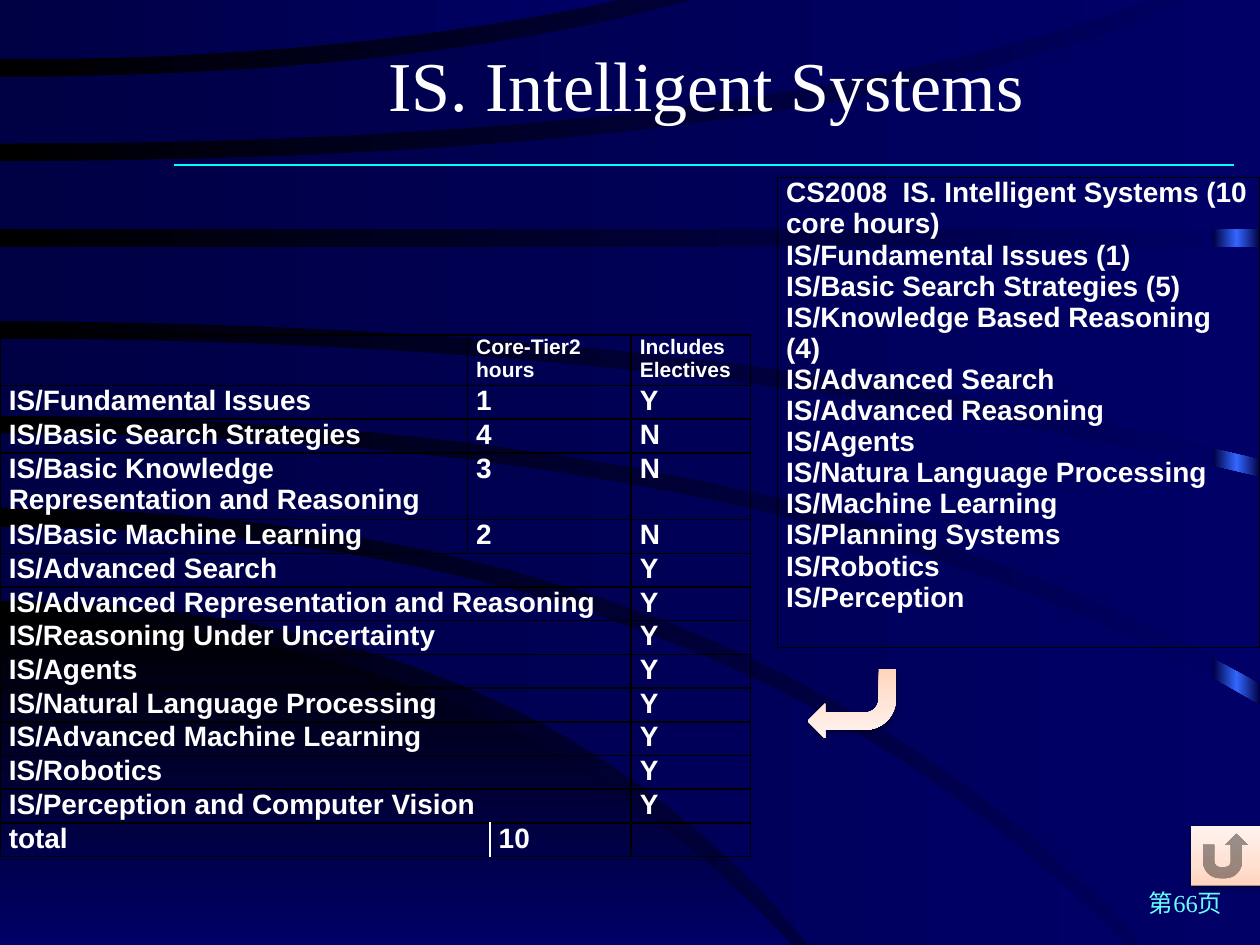
from copy import deepcopy

from lxml import etree
from pptx import Presentation
from pptx.dml.color import RGBColor
from pptx.enum.shapes import MSO_CONNECTOR, MSO_SHAPE
from pptx.enum.text import MSO_ANCHOR, PP_ALIGN
from pptx.oxml import parse_xml
from pptx.oxml.ns import nsdecls, qn
from pptx.util import Inches, Pt

CENTER, RIGHT = PP_ALIGN.CENTER, PP_ALIGN.RIGHT
MIDDLE = MSO_ANCHOR.MIDDLE
RECTANGLE = MSO_SHAPE.RECTANGLE
BENT_ARROW = MSO_SHAPE.BENT_ARROW
RETURN_BUTTON = MSO_SHAPE.ACTION_BUTTON_RETURN
STRAIGHT = MSO_CONNECTOR.STRAIGHT

BLACK = RGBColor(0x00, 0x00, 0x00)
WHITE = RGBColor(0xFF, 0xFF, 0xFF)
NAVY = RGBColor(0x00, 0x00, 0x66)
DARK_NAVY = RGBColor(0x00, 0x00, 0x44)
BLUE = RGBColor(0x33, 0x66, 0xFF)
CYAN = RGBColor(0x00, 0xFF, 0xFF)
PALE_CYAN = RGBColor(0x66, 0xFF, 0xFF)
PEACH = RGBColor(0xFF, 0xD4, 0xBD)
LIGHT_PEACH = RGBColor(0xFF, 0xE0, 0xD1)
PALE_PEACH = RGBColor(0xFF, 0xF3, 0xEE)

BAND_STOPS = [(0, DARK_NAVY), (1, NAVY)]
HILL_STOPS = [(0, BLACK), (1, NAVY)]
STRIP_STOPS = [(0, DARK_NAVY), (0.5, BLUE), (1, DARK_NAVY)]
PEACH_STOPS = [(0, PEACH), (0.35, LIGHT_PEACH), (1, PALE_PEACH)]

# An edge is start y, bend x, end x, end y; a band is upper edge, lower edge, corners between.
HILL = ((4.91, 3.93, 6.28, 7.5), (7.5, 3, 6.28, 7.5), [])
BANDS = [
    ((4.18, 5.73, 8.93, 7.5), (4.77, 4.2, 6.42, 7.5), []),
    ((3.44, 6.4, 10, 5.6), (4.03, 5.87, 9.09, 7.5), [(10, 7.5)]),
    ((2.69, 5.5, 10, 3.79), (3.3, 6.3, 10, 5.42), []),
    ((1.96, 5, 10, 1.96), (2.55, 5.6, 10, 3.64), []),
    ((1.28, 6.64, 9.43, 0), (1.82, 5, 10, 1.82), [(10, 0)]),
    ((0.61, 3.3, 5.5, 0), (1.14, 6.1, 9.13, 0), []),
    ((0, 2.5, 4.9, 0), (0.47, 2.75, 4.9, 0), []),
]
CURVE_STEPS = 16

CORE_UNITS = [("IS/Fundamental Issues", "1", "Y"),
              ("IS/Basic Search Strategies", "4", "N"),
              ("IS/Basic Knowledge Representation and Reasoning", "3", "N"),
              ("IS/Basic Machine Learning", "2", "N")]
ELECTIVE_UNITS = ["IS/Advanced Search", "IS/Advanced Representation and Reasoning",
                  "IS/Reasoning Under Uncertainty", "IS/Agents",
                  "IS/Natural Language Processing", "IS/Advanced Machine Learning",
                  "IS/Robotics", "IS/Perception and Computer Vision"]
UNITS_2008 = ["CS2008  IS. Intelligent Systems (10 core hours)", "IS/Fundamental Issues (1)",
              "IS/Basic Search Strategies (5)", "IS/Knowledge Based Reasoning (4)",
              "IS/Advanced Search", "IS/Advanced Reasoning", "IS/Agents",
              "IS/Natura Language Processing", "IS/Machine Learning", "IS/Planning Systems",
              "IS/Robotics", "IS/Perception"]


def write_text(frame, text, size=16, font="Arial", color=WHITE, bold=False, align=None):
    """Fill a text frame, one paragraph per line of text."""
    frame.word_wrap = True
    for index, line in enumerate(text.split("\n")):
        paragraph = frame.add_paragraph() if index else frame.paragraphs[0]
        paragraph.alignment = align
        if not line:
            paragraph._p.get_or_add_endParaRPr().set("sz", str(size * 100))
            continue
        run = paragraph.add_run()
        run.text = line
        run.font.size, run.font.name, run.font.bold = Pt(size), font, bold
        run.font.color.rgb = color


def paint_gradient(fill, element, stops, angle=0):
    """Angle runs counter-clockwise; element is the XML that holds the fill."""
    fill.gradient()
    fill.gradient_angle = angle
    stop_list = next(element.iter(qn("a:gsLst")))
    while len(stop_list) < len(stops):
        stop_list.append(deepcopy(stop_list[0]))
    for stop, (position, color) in zip(fill.gradient_stops, stops):
        stop.position = position
        stop.color.rgb = color


def finish_shape(shape, stops, angle=0):
    shape.shadow.inherit = False
    shape.line.fill.background()
    paint_gradient(shape.fill, shape._element, stops, angle)


def curve_points(start_y, bend_x, end_x, end_y):
    """Points of a quadratic curve that leaves the left slide edge horizontally."""
    steps = [step / CURVE_STEPS for step in range(CURVE_STEPS + 1)]
    return [(2 * t * (1 - t) * bend_x + t * t * end_x, start_y + t * t * (end_y - start_y))
            for t in steps]


def add_band(slide, band, stops, angle=0):
    upper, lower, corners = band
    points = curve_points(*upper) + corners + curve_points(*lower)[::-1]
    outline = [(Inches(x), Inches(y)) for x, y in points]
    builder = slide.shapes.build_freeform(*outline[0])
    builder.add_line_segments(outline[1:], close=True)
    finish_shape(builder.convert_to_shape(), stops, angle)


def add_preset(slide, kind, left, top, width, height, stops, angle=0):
    shape = slide.shapes.add_shape(kind, Inches(left), Inches(top), Inches(width), Inches(height))
    finish_shape(shape, stops, angle)
    return shape


def add_soft_shadow(shape):
    effects = shape._element.spPr.find(qn("a:effectLst"))
    effects.append(parse_xml(
        f'<a:outerShdw {nsdecls("a")} blurRad="{Pt(3.1)}" dist="{Pt(1.6)}" dir="5400000" '
        'rotWithShape="0"><a:srgbClr val="000000"><a:alpha val="38000"/></a:srgbClr>'
        '</a:outerShdw>'))


def add_rule(slide, left, right, y):
    rule = slide.shapes.add_connector(STRAIGHT, Inches(left), Inches(y), Inches(right), Inches(y))
    rule.line.color.rgb = CYAN
    rule.line.width = Pt(0.75)
    etree.SubElement(rule._element.spPr, qn("a:effectLst"))


def set_borders(cell, **colors):
    """Draw all four sides in black unless a side (L, R, T, B) is given a colour."""
    properties = cell._tc.get_or_add_tcPr()
    for index, side in enumerate("LRTB"):
        properties.insert(index, parse_xml(
            f'<a:ln{side} {nsdecls("a")} w="{Pt(1)}"><a:solidFill>'
            f'<a:srgbClr val="{colors.get(side, BLACK)}"/></a:solidFill></a:ln{side}>'))


def add_plain_table(slide, left, top, widths, heights):
    frame = slide.shapes.add_table(len(heights), len(widths), Inches(left), Inches(top),
                                   Inches(sum(widths)), Inches(sum(heights)))
    table = frame.table
    table.first_row = table.horz_banding = False
    for column, width in zip(table.columns, widths):
        column.width = Inches(width)
    for row, height in zip(table.rows, heights):
        row.height = Inches(height)
    for cell in table.iter_cells():
        cell.fill.background()
        cell.margin_left = cell.margin_right = Inches(0.07)
        cell.margin_top = cell.margin_bottom = 0
    return table


def add_hours_table(slide):
    unit_height = (4.14 - 0.4 - 0.53) / 12
    heights = [0.4] + [unit_height] * 2 + [0.53] + [unit_height] * 10
    table = add_plain_table(slide, 0, 2.66, [3.71, 0.15, 1.12, 0.95], heights)
    rows = [("", "Core-Tier2\nhours", "", "Includes\nElectives")]
    rows += [(unit, hours, "", elective) for unit, hours, elective in CORE_UNITS]
    rows += [(unit, "", "", "Y") for unit in ELECTIVE_UNITS]
    rows.append(("total", "", "10", ""))
    total_row = len(rows) - 1
    for row, texts in enumerate(rows):
        for column, text in enumerate(texts):
            cell = table.cell(row, column)
            size = 16 if row and text else 12
            write_text(cell.text_frame, text, size=size, bold=True)
            white_sides = {}
            if row == total_row and column < 3:
                white_sides = {"L": WHITE} if column == 2 else {"R": WHITE}
            set_borders(cell, **white_sides)
        if row == total_row:
            first, last = 0, 1
        else:
            first, last = (1 if row <= len(CORE_UNITS) else 0), 2
        table.cell(row, first).merge(table.cell(row, last))


def add_2008_table(slide):
    cell = add_plain_table(slide, 6.17, 1.41, [3.83], [3.73]).cell(0, 0)
    write_text(cell.text_frame, "\n".join(UNITS_2008), bold=True)
    set_borders(cell)


def add_backdrop(slide):
    paint_gradient(slide.background.fill, slide._element, HILL_STOPS)
    add_preset(slide, RECTANGLE, 9.63, 0, 0.37, 7.5, STRIP_STOPS)
    add_band(slide, HILL, HILL_STOPS, angle=270)
    for band in BANDS:
        add_band(slide, band, BAND_STOPS)
    add_rule(slide, 1.38, 9.79, 1.31)


def place_title(slide, text):
    title = slide.shapes.title
    title.left, title.top = Inches(1.39), Inches(0.19)
    title.width, title.height = Inches(8.43), Inches(0.94)
    title.text_frame.vertical_anchor = MIDDLE
    write_text(title.text_frame, text, size=40, font="Times New Roman", align=CENTER)
    slide.shapes._spTree.append(title._element)  # in front of the backdrop


def main():
    presentation = Presentation()
    presentation.slide_width, presentation.slide_height = Inches(10), Inches(7.5)
    slide = presentation.slides.add_slide(presentation.slide_layouts[5])
    add_backdrop(slide)
    place_title(slide, "IS. Intelligent Systems")
    add_hours_table(slide)
    add_2008_table(slide)
    arrow = add_preset(slide, BENT_ARROW, 6.41, 5.31, 0.7, 0.55, PEACH_STOPS, angle=90)
    arrow.rotation = 180
    button = add_preset(slide, RETURN_BUTTON, 9.45, 6.56, 0.55, 0.47, PEACH_STOPS, angle=90)
    for shape in (arrow, button):
        add_soft_shadow(shape)
    page = slide.shapes.add_textbox(Inches(7.72), Inches(7), Inches(2.08), Inches(0.36))
    write_text(page.text_frame, "第66页", size=14, font="Times New Roman",
               color=PALE_CYAN, align=RIGHT)
    presentation.save("out.pptx")


if __name__ == "__main__":
    main()
